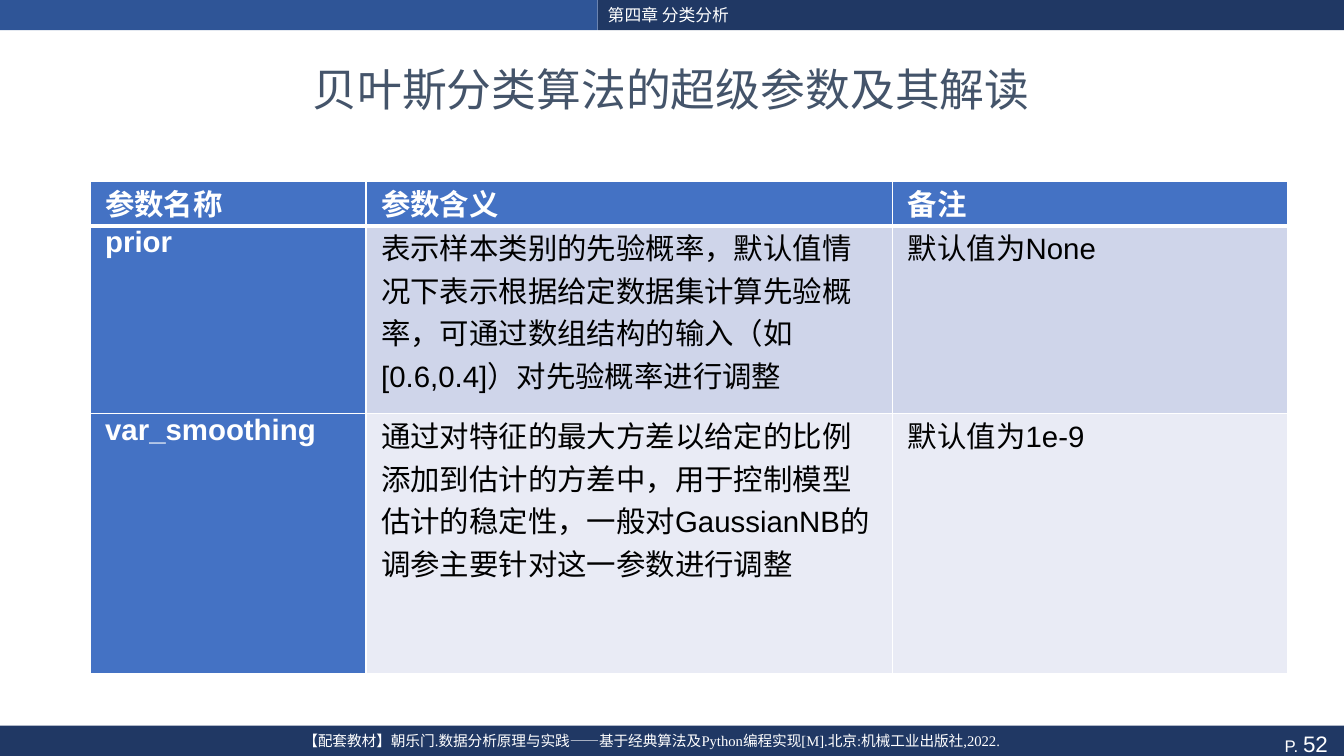
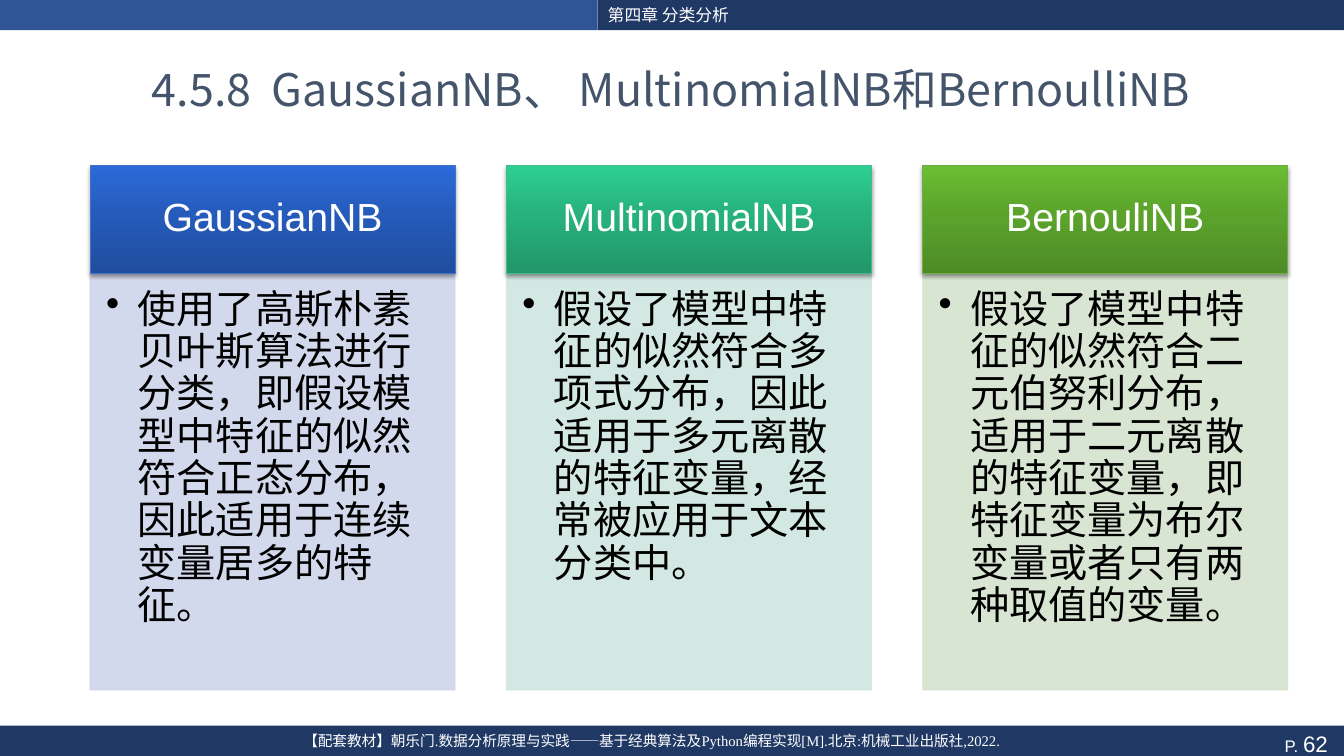
import copy
from dataclasses import dataclass

import pptx
import pptx.dml.color
import pptx.enum.shapes
import pptx.enum.text
import pptx.oxml.ns
import pptx.util
from lxml import etree

Pt = pptx.util.Pt
qn = pptx.oxml.ns.qn
Align = pptx.enum.text.PP_ALIGN
Anchor = pptx.enum.text.MSO_ANCHOR
RECT = pptx.enum.shapes.MSO_SHAPE.RECTANGLE


@dataclass(frozen=True)
class Theme:
    wide: float = 960
    high: float = 540
    band: float = 21.6
    left: float = 64.3
    span: float = 855.6
    sans: str = "Arial"
    serif: str = "Times New Roman"
    asian: str = "Noto Sans CJK SC"
    navy: str = "203864"
    blue: str = "2F5597"
    slate: str = "44546A"
    white: str = "FFFFFF"
    black: str = "000000"
    head: str = "4472C4"
    rows: tuple = ("CFD5EA", "E9EBF5")
    title: float = 32
    card: float = 28
    cell: float = 21
    page: float = 16
    small: float = 12
    cite: float = 10.5


T = Theme()

CHAPTER = "第四章 分类分析"
BOOK = ("【配套教材】朝乐门.数据分析原理与实践——基于经典算法及Python编程实现[M]."
        "北京:机械工业出版社,2022.")

GRID = [
    ("参数名称", "参数含义", "备注"),
    ("prior",
     "表示样本类别的先验概率，默认值情况下表示根据给定数据集计算先验概率，"
     "可通过数组结构的输入（如[0.6,0.4]）对先验概率进行调整",
     "默认值为None"),
    ("var_smoothing",
     "通过对特征的最大方差以给定的比例添加到估计的方差中，用于控制模型估计的稳定性，"
     "一般对GaussianNB的调参主要针对这一参数进行调整",
     "默认值为1e-9"),
]

# Heading, text, gradient from bottom to top, heading line, body tint
CARDS = [
    ("GaussianNB",
     "使用了高斯朴素贝叶斯算法进行分类，即假设模型中特征的似然符合正态分布，"
     "因此适用于连续变量居多的特征。",
     ("204E9F", "265BBB", "2C6ADA"), "4472C4", "CFD5EA"),
    ("MultinomialNB",
     "假设了模型中特征的似然符合多项式分布，因此适用于多元离散的特征变量，"
     "经常被应用于文本分类中。",
     ("21976A", "27B27D", "2DCF91"), "43BB8D", "CFE6E0"),
    ("BernouliNB",
     "假设了模型中特征的似然符合二元伯努利分布，适用于二元离散的特征变量，"
     "即特征变量为布尔变量或者只有两种取值的变量。",
     ("4E8B26", "5CA32C", "6BBE34"), "70AD47", "D5E3CF"),
]


# Basic parts

def rgb(code):
    return pptx.dml.color.RGBColor.from_string(code)


def node(host, tag, **attrs):
    item = etree.SubElement(host, qn(tag))
    for key, val in attrs.items():
        item.set(key, str(val))
    return item


def style(run, size, color, face=T.sans):
    font = run.font
    font.size, font.name = Pt(size), face
    font.color.rgb = rgb(color)
    node(run._r.get_or_add_rPr(), "a:ea", typeface=T.asian)


def write(frame, text, size, color, align=Align.LEFT, anchor=Anchor.TOP,
          pad=(7.2, 3.6, 7.2, 3.6), face=T.sans):
    frame.word_wrap = True
    frame.vertical_anchor = anchor
    (frame.margin_left, frame.margin_top,
     frame.margin_right, frame.margin_bottom) = map(Pt, pad)
    frame.text = text
    para = frame.paragraphs[0]
    para.alignment = align
    style(para.runs[0], size, color, face)
    return para


def rect(slide, box, fill=None):
    shape = slide.shapes.add_shape(RECT, *map(Pt, box))
    shape.shadow.inherit = False
    shape.line.fill.background()
    if fill:
        shape.fill.solid()
        shape.fill.fore_color.rgb = rgb(fill)
    return shape


def label(slide, box, *args, **opts):
    frame = slide.shapes.add_textbox(*map(Pt, box)).text_frame
    return write(frame, *args, **opts)


# Bands, footer and title shared by all slides

def base(deck, title, page):
    slide = deck.slides.add_slide(deck.slide_layouts[6])
    split, foot = 427, T.high - T.band
    rect(slide, (0, 0, split, T.band), T.blue)
    top = rect(slide, (split, 0, T.wide - split, T.band), T.navy)
    write(top.text_frame, CHAPTER, T.small, T.white,
          anchor=Anchor.MIDDLE, pad=(7.2, 0, 7.2, 0))
    low = rect(slide, (0, foot, T.wide, T.band), T.navy)
    para = write(low.text_frame, "P. ", T.small, T.white, Align.RIGHT,
                 pad=(7.2, 3, 7.2, 0))
    run = para.add_run()
    run.text = f"{page} "
    style(run, T.page, T.white)
    label(slide, (43, foot + 0.6, 845, 21), BOOK, T.cite, T.white,
          Align.CENTER, face=T.serif)
    label(slide, (31.5, 31, 896, 65), title, T.title, T.slate,
          Align.CENTER, Anchor.MIDDLE, face=T.asian)
    return slide


# Parameter table

def edge(cell, side, width):
    line = node(cell._tc.get_or_add_tcPr(), f"a:{side}", w=Pt(width))
    node(node(line, "a:solidFill"), "a:srgbClr", val=T.white)


def grid(slide, box, data, cols, rows):
    table = slide.shapes.add_table(len(rows), len(cols), *map(Pt, box)).table
    for col, part in zip(table.columns, cols):
        col.width = Pt(box[2] * part / sum(cols))
    for row, part in zip(table.rows, rows):
        row.height = Pt(box[3] * part / sum(rows))
    for r, line in enumerate(data):
        for c, text in enumerate(line):
            cell = table.cell(r, c)
            main = r == 0 or c == 0
            para = write(cell.text_frame, text, T.cell,
                         T.white if main else T.black)
            para.runs[0].font.bold = main
            cell.margin_left = cell.margin_right = Pt(10.8)
            cell.margin_top = cell.margin_bottom = 0
            cell.vertical_anchor = Anchor.TOP
            for side in ("lnL", "lnR", "lnT", "lnB"):
                thick = (r, side) in ((0, "lnB"), (1, "lnT"))
                edge(cell, side, 3 if thick else 1)
            cell.fill.solid()
            cell.fill.fore_color.rgb = rgb(T.head if main else T.rows[r - 1])


# Classifier cards

def fade(shape, colors):
    fill = shape.fill
    fill.gradient()
    fill.gradient_angle = 90
    first = shape.element.spPr.find(".//" + qn("a:gs"))
    first.addnext(copy.deepcopy(first))
    for stop, color, pos in zip(fill.gradient_stops, colors, (0, 0.55, 1)):
        stop.color.rgb = rgb(color)
        stop.position = pos


def shade(shape):
    host = shape.element.spPr.find(qn("a:effectLst"))
    drop = node(host, "a:outerShdw", blurRad=Pt(3.1), dist=Pt(2),
                dir=5400000, rotWithShape=0)
    node(node(drop, "a:srgbClr", val=T.black), "a:alpha", val=38000)


def border(shape, color):
    shape.line.color.rgb = rgb(color)
    shape.line.width = Pt(0.5)


def card(slide, box, name, text, colors, line, tint):
    x, y, w, h = box
    cap = 77.2
    # Body
    body = rect(slide, (x, y + cap, w, h - cap), tint)
    border(body, tint)
    for color in body.element.spPr.iter(qn("a:srgbClr")):
        node(color, "a:alpha", val=90000)
    para = write(body.text_frame, text, T.card, T.black,
                 pad=(11.5, 11.5, 15.8, 17.3))
    para.line_spacing = 0.9
    props = para._p.get_or_add_pPr()
    props.set("marL", str(Pt(22.5)))
    props.set("indent", str(-Pt(22.5)))
    props.set("hangingPunct", "0")
    node(props, "a:buChar", char="•")
    # Heading
    head = rect(slide, (x, y, w, cap))
    fade(head, colors)
    border(head, line)
    shade(head)
    para = write(head.text_frame, name, T.card, T.white,
                 Align.CENTER, Anchor.MIDDLE)
    para.line_spacing = 0.9


def cards(slide, box, items):
    x, y, w, h = box
    ratio = 0.14
    wide = w / (len(items) + ratio * (len(items) - 1))
    for i, item in enumerate(items):
        card(slide, (x + i * wide * (1 + ratio), y, wide, h), *item)


def main():
    deck = pptx.Presentation()
    deck.slide_width, deck.slide_height = Pt(T.wide), Pt(T.high)
    slide = base(deck, "贝叶斯分类算法的超级参数及其解读", 52)
    grid(slide, (T.left, 129.6, T.span, 351.5), GRID,
         (2.74, 5.23, 3.92), (0.44, 1.87, 2.58))
    slide = base(deck, "4.5.8  GaussianNB、 MultinomialNB和BernoulliNB", 62)
    cards(slide, (T.left, 118, T.span, 375), CARDS)
    deck.save("out.pptx")


if __name__ == "__main__":
    main()
